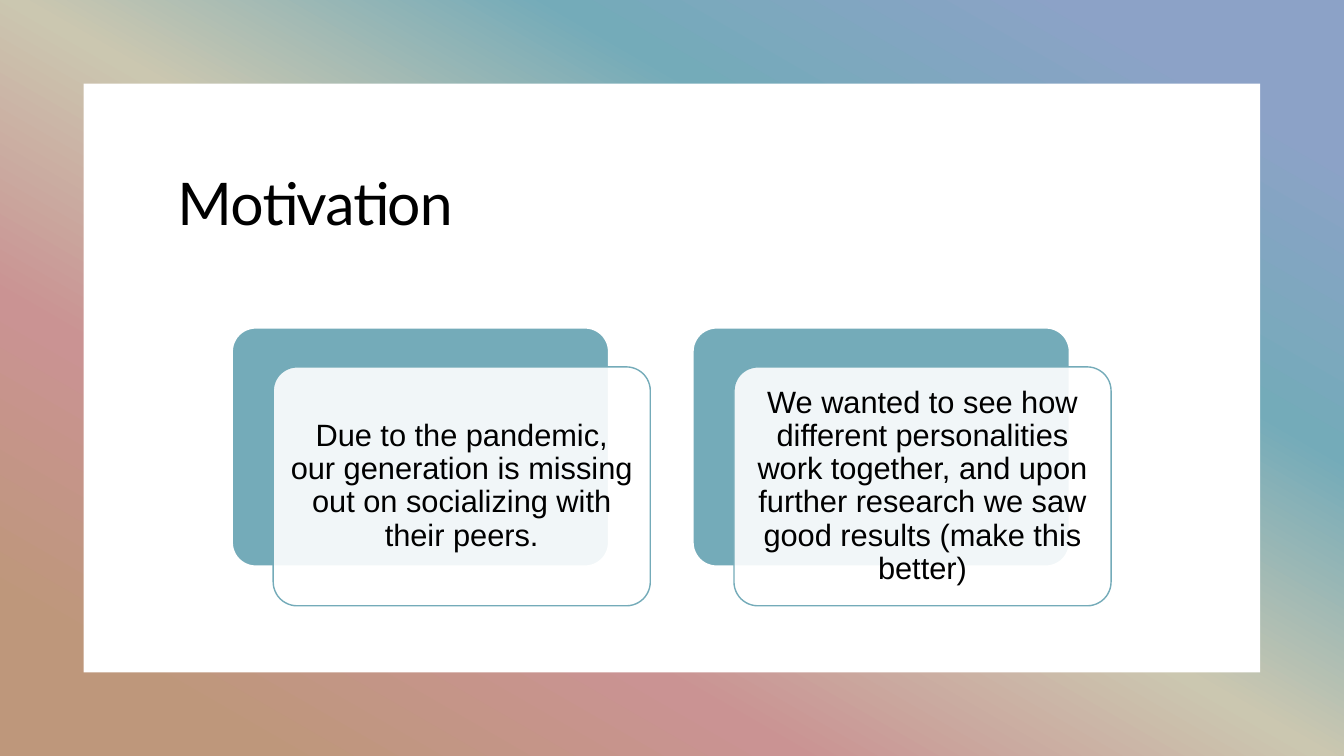
from pptx import Presentation
from pptx.dml.color import RGBColor
from pptx.enum.shapes import MSO_SHAPE as SHAPE
from pptx.enum.text import MSO_ANCHOR as ANCHOR, MSO_AUTO_SIZE as AUTO, PP_ALIGN as ALIGN
from pptx.oxml.ns import qn
from pptx.util import Inches, Pt
from lxml.etree import SubElement
from dataclasses import dataclass

# Content
TITLE = "Motivation"
CARDS = [
    "Due to the pandemic, our generation is missing out on socializing with their peers.",
    "We wanted to see how different personalities work together, and upon further "
    "research we saw good results (make this better)",
]


@dataclass(frozen=True)
class Theme:
    white: str = "FFFFFF"
    ink: str = "000000"
    teal: str = "74ABB9"
    stops: tuple = ((10, "8CA2C7"), (30, "74ABB9"), (50, "CBC7B0"),
                    (70, "CA9393"), (90, "BE977B"))
    title_font: str = "Lato"
    body_font: str = "Arial"
    title_size: float = 42
    body_size: float = 22


THEME = Theme()

# Layout, in inches
SLIDE_W, SLIDE_H = 13.33, 7.5
MARGIN = 0.83
CARD_X, CARD_Y, CARD_W, CARD_H = 2.3, 3.25, 3.74, 2.37
CARD_STEP = 4.57
OFFSET_X, OFFSET_Y = 0.41, 0.39


def rgb(color):
    return RGBColor.from_string(color)


def write(shape, text, *, font, size, align, anchor, leading, inset=None, spacing=None):
    tf = shape.text_frame
    tf.word_wrap, tf.auto_size, tf.vertical_anchor = True, AUTO.NONE, anchor
    if inset is not None:
        tf.margin_left = tf.margin_right = tf.margin_top = tf.margin_bottom = Inches(inset)
    p = tf.paragraphs[0]
    p.alignment, p.line_spacing = align, leading
    r = p.add_run()
    r.text = text
    r.font.name, r.font.size = font, Pt(size)
    r.font.color.rgb = rgb(THEME.ink)
    if spacing is not None:
        r.font._element.set("spc", str(int(spacing * 100)))


def add_box(shapes, kind, x, y, w, h, fill=None, line=None, width=1, opacity=100):
    sp = shapes.add_shape(kind, Inches(x), Inches(y), Inches(w), Inches(h))
    sp.shadow.inherit = False
    if kind == SHAPE.ROUNDED_RECTANGLE:
        sp.adjustments[0] = 0.1
    if fill:
        sp.fill.solid()
        sp.fill.fore_color.rgb = rgb(fill)
    if opacity < 100:
        color = sp._element.spPr.find(qn("a:solidFill"))[0]
        SubElement(color, qn("a:alpha"), val=str(opacity * 1000))
    if line:
        sp.line.color.rgb = rgb(line)
        sp.line.width = Pt(width)
    else:
        sp.line.fill.background()
    return sp


def fill_gradient(sp, stops, angle):
    sp.fill.gradient()
    sp.fill.gradient_angle = 360 - angle  # python-pptx counts counter-clockwise
    stop_list = sp._element.spPr.find(qn("a:gradFill")).find(qn("a:gsLst"))
    for old in list(stop_list):
        stop_list.remove(old)
    for pos, color in stops:
        gs = SubElement(stop_list, qn("a:gs"), pos=str(pos * 1000))
        SubElement(gs, qn("a:srgbClr"), val=color)


def main():
    prs = Presentation()
    prs.slide_width, prs.slide_height = Inches(SLIDE_W), Inches(SLIDE_H)
    s = prs.slides.add_slide(prs.slide_layouts[5])

    # Gradient frame around a white panel
    frame = add_box(s.shapes, SHAPE.RECTANGLE, 0, 0, SLIDE_W, SLIDE_H)
    fill_gradient(frame, THEME.stops, 120)
    add_box(s.shapes, SHAPE.RECTANGLE, MARGIN, MARGIN,
            SLIDE_W - 2 * MARGIN, SLIDE_H - 2 * MARGIN, THEME.white)

    # Title, brought in front of the panel
    title = s.shapes.title
    title.left, title.top, title.width, title.height = map(Inches, (1.66, 1.66, 10, 1.47))
    write(title, TITLE, font=THEME.title_font, size=THEME.title_size, align=ALIGN.LEFT,
          anchor=ANCHOR.TOP, leading=0.95, spacing=-0.5)
    s.shapes._spTree.append(title._element)

    # Cards: a teal back plate with a translucent front plate
    for i, text in enumerate(CARDS):
        x = CARD_X + i * CARD_STEP
        group = s.shapes.add_group_shape()
        add_box(group.shapes, SHAPE.ROUNDED_RECTANGLE, x, CARD_Y, CARD_W, CARD_H,
                THEME.teal, THEME.white, 1.5)
        front = add_box(group.shapes, SHAPE.ROUNDED_RECTANGLE, x + OFFSET_X, CARD_Y + OFFSET_Y,
                        CARD_W, CARD_H, THEME.white, THEME.teal, opacity=90)
        write(front, text, font=THEME.body_font, size=THEME.body_size, align=ALIGN.CENTER,
              anchor=ANCHOR.MIDDLE, leading=0.9, inset=0.09)

    prs.save("out.pptx")


if __name__ == "__main__":
    main()
